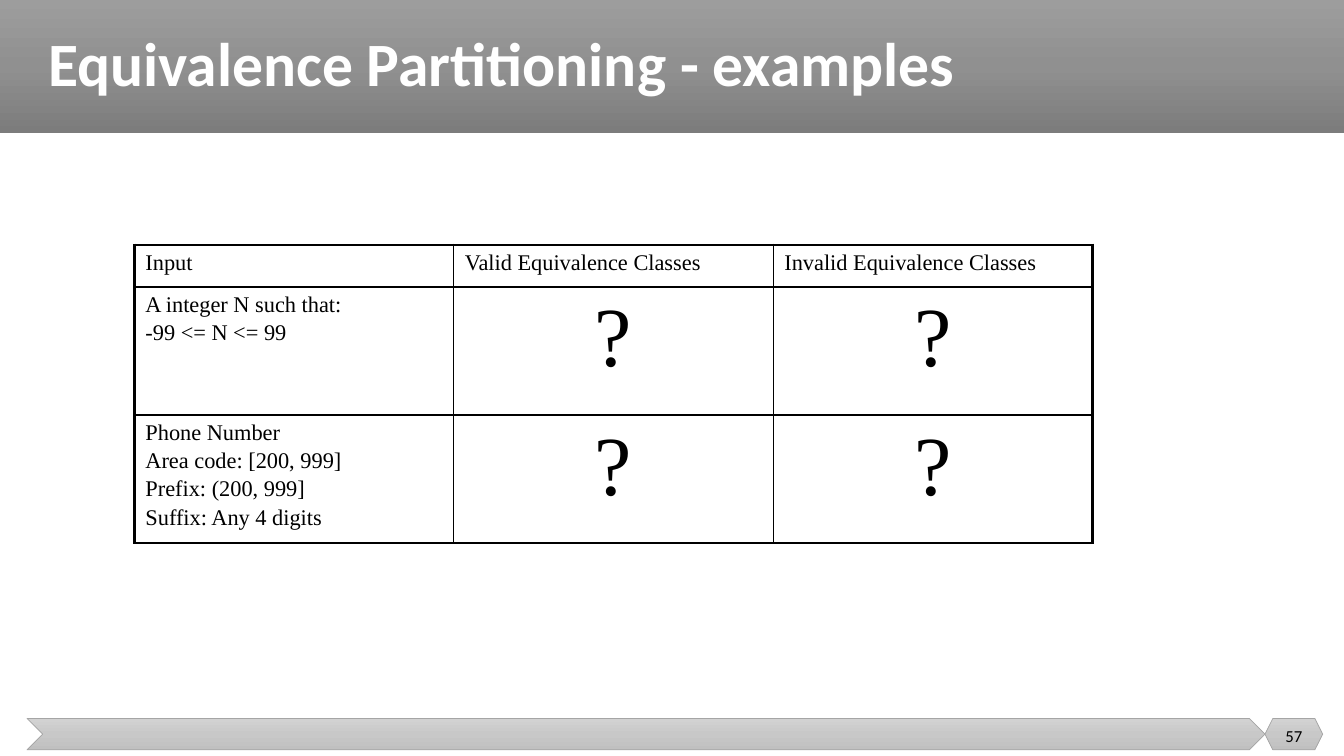
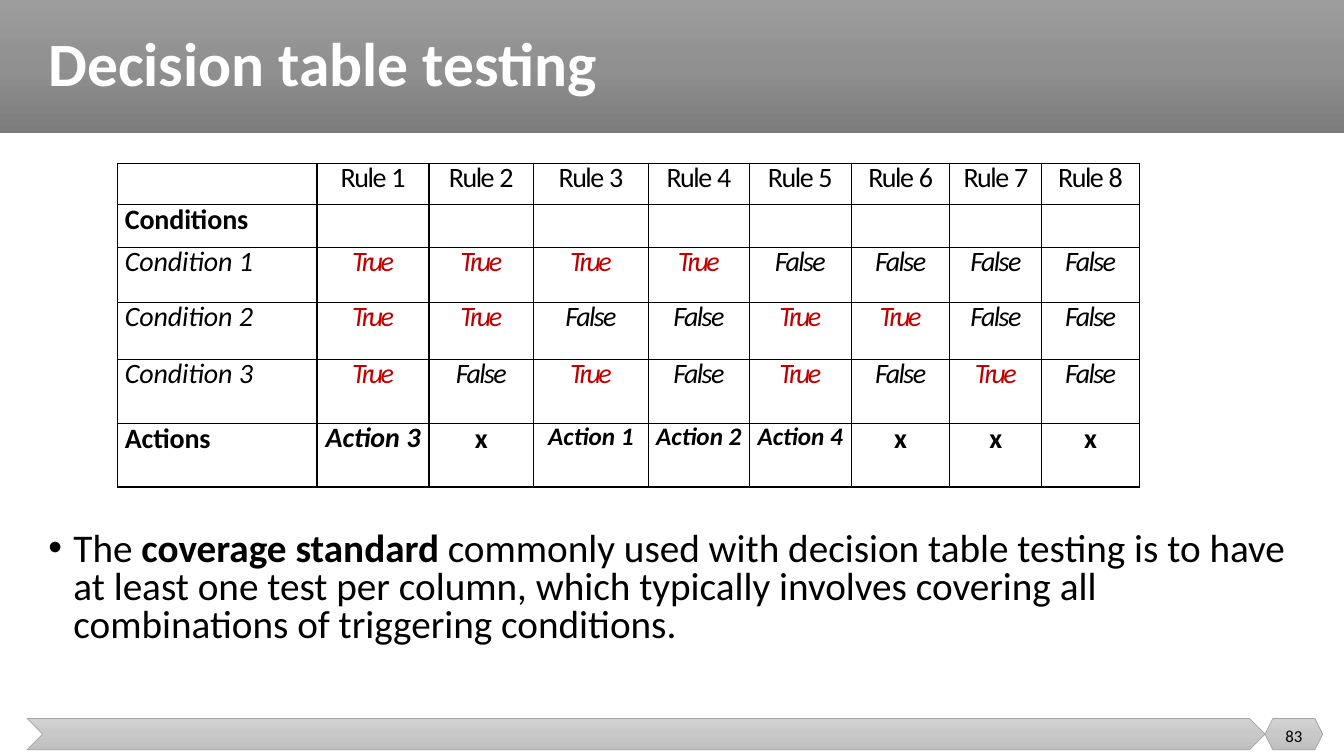
from copy import deepcopy
from pptx import Presentation
from pptx.dml.color import RGBColor as RGB
from pptx.enum.shapes import MSO_SHAPE as Shape
from pptx.enum.text import MSO_ANCHOR as Anchor, PP_ALIGN as Align
from pptx.oxml import parse_xml
from pptx.oxml.ns import nsdecls, qn
from pptx.util import Pt

INK = {"black": "000000", "white": "FFFFFF", "red": "C00000", "edge": "A5A5A5"}
BAND = ["9D9D9D", "909090", "7C7C7C"]
FOOT = ["D2D2D2", "C8C8C8", "C0C0C0"]
FONT = "Calibri"

TITLE = {"size": 44, "bold": True, "ink": "white"}
PAGE = {"size": 12}
BODY = {"size": 28}
TERM = {"size": 28, "bold": True}
SERIF = {"name": "Times New Roman", "size": 16}
MARK = {"name": "Times New Roman", "size": 60}
RULE = {"size": 20, "spc": -1.1}
DIGIT = {"size": 20, "spc": -0.3}
HEAD = {"size": 20, "bold": True, "spc": -0.1}
COND = {"size": 20, "italic": True, "spc": -0.1}
YES = {"size": 20, "italic": True, "ink": "red", "spc": -1.9}
NO = {"size": 20, "italic": True, "spc": -1.2}
WIDE = {"size": 20, "bold": True, "italic": True}
ACT = {"size": 18, "bold": True, "italic": True}
CROSS = {"size": 20, "bold": True}

PARTS = [
    ["Input", "Valid Equivalence Classes", "Invalid Equivalence Classes"],
    ["A integer N such that:\n-99 <= N <= 99", "?", "?"],
    ["Phone Number\nArea code: [200, 999]\nPrefix: (200, 999]\nSuffix: Any 4 digits",
     "?", "?"],
]
PART_COLS = [228.2] * 3
PART_ROWS = [30, 91.5, 91.5]

TRUTH = ["TTTTFFFF", "TTFFTTFF", "TFTFTFTF"]
ACTS = ["Action 3", "x", "Action 1", "Action 2", "Action 4", "x", "x", "x"]
RULE_COLS = [142.5, 80, 74.6, 82.1, 72.1, 72.9, 70.4, 65.7, 69.6]
RULE_ROWS = [29.3, 30.7, 39.3, 40.7, 45.7, 45.7]

COVER = [
    ("The ", BODY),
    ("coverage standard ", TERM),
    ("commonly used with decision table testing is to have at least one test per "
     "column, which typically involves covering all combinations of triggering "
     "conditions.", BODY),
]


def write(para, runs, **fmt):
    for key, val in fmt.items():
        setattr(para, key, val)
    for text, style in runs:
        run = para.add_run()
        run.text = text
        look = {"name": FONT, "ink": "black", **style}
        run.font.color.rgb = RGB.from_string(INK[look.pop("ink")])
        gap = look.pop("spc", 0)
        if gap:
            run._r.get_or_add_rPr().set("spc", str(round(gap * 100)))
        look["size"] = Pt(look["size"])
        for key, val in look.items():
            setattr(run.font, key, val)


def add_box(slide, spot, runs, anchor=Anchor.TOP, pad=7.2, **fmt):
    frame = slide.shapes.add_textbox(*map(Pt, spot)).text_frame
    for key, val in {"word_wrap": True, "vertical_anchor": anchor,
                     "margin_left": Pt(pad), "margin_right": Pt(pad)}.items():
        setattr(frame, key, val)
    write(frame.paragraphs[0], runs, **fmt)
    return frame.paragraphs[0]


def add_bar(slide, kind, spot, tones, edge=None):
    bar = slide.shapes.add_shape(kind, *map(Pt, spot))
    bar.shadow.inherit = False
    bar.fill.gradient()
    stops = bar._element.spPr.find(qn("a:gradFill")).find(qn("a:gsLst"))
    stops.insert(1, deepcopy(stops[0]))
    for i, (stop, tone) in enumerate(zip(bar.fill.gradient_stops, tones)):
        stop.position = i / 2
        stop.color.rgb = RGB.from_string(tone)
    bar.fill.gradient_angle = 270
    if edge:
        bar.line.color.rgb = RGB.from_string(INK[edge])
        bar.line.width = Pt(0.5)
    else:
        bar.line.fill.background()


def add_slide(deck, title, page):
    slide = deck.slides.add_slide(deck.slide_layouts[6])
    add_bar(slide, Shape.RECTANGLE, (0, 0, 960, 95), BAND)
    add_bar(slide, Shape.CHEVRON, (19.3, 513.2, 884.3, 22.4), FOOT, "edge")
    add_bar(slide, Shape.HEXAGON, (903.6, 513.2, 41.2, 22.4), FOOT, "edge")
    add_box(slide, (27.4, 0, 917.3, 95), [(title, TITLE)], Anchor.MIDDLE,
            line_spacing=0.9)
    add_box(slide, (903.6, 511.2, 41.2, 28.8), [(page, PAGE)], Anchor.MIDDLE, 0,
            alignment=Align.CENTER)
    return slide


def add_grid(slide, left, top, cols, rows, rim, pads):
    spot = (left, top, sum(cols), sum(rows))
    grid = slide.shapes.add_table(len(rows), len(cols), *map(Pt, spot)).table
    grid.first_row = grid.horz_banding = False
    for col, wide in zip(grid.columns, cols):
        col.width = Pt(wide)
    for row, tall in zip(grid.rows, rows):
        row.height = Pt(tall)
    for r in range(len(rows)):
        for c in range(len(cols)):
            cell = grid.cell(r, c)
            cell.fill.background()
            for side, pad in zip(("left", "top", "right", "bottom"), pads):
                setattr(cell, "margin_" + side, Pt(pad))
            outer = {"L": c == 0, "R": c == len(cols) - 1,
                     "T": r == 0, "B": r == len(rows) - 1}
            for i, (side, out) in enumerate(outer.items()):
                line = parse_xml(
                    f'<a:ln{side} {nsdecls("a")} w="{Pt(rim if out else 1)}">'
                    f'<a:solidFill><a:srgbClr val="{INK["black"]}"/></a:solidFill>'
                    f'</a:ln{side}>')
                cell._tc.get_or_add_tcPr().insert(i, line)
    return grid


def fill_parts(grid):
    for r, row in enumerate(PARTS):
        for c, text in enumerate(row):
            frame = grid.cell(r, c).text_frame
            mark = text == "?"
            for i, line in enumerate(text.split("\n")):
                para = frame.add_paragraph() if i else frame.paragraphs[0]
                write(para, [(line, MARK if mark else SERIF)],
                      alignment=Align.CENTER if mark else Align.LEFT,
                      space_before=Pt(2.5 if i else 0))


def act_runs(text, col):
    if text == "x":
        return [(text, CROSS)], 23.6
    return ([(text, WIDE)], 22.8) if col == 0 else ([(text, ACT)], 20.5)


def rule_cells():
    count = len(ACTS)
    yield 1, 0, [("Conditions", HEAD)], 23.4
    yield 5, 0, [("Actions", HEAD)], 23.4
    for c in range(count):
        yield 0, c + 1, [("Rule ", RULE), (str(c + 1), DIGIT)], 22.8
        yield 5, c + 1, *act_runs(ACTS[c], c)
    for r, marks in enumerate(TRUTH, 1):
        yield r + 1, 0, [("Condition ", COND), (str(r), {**COND, "spc": 0})], 22.8
        for c, mark in enumerate(marks, 1):
            run = ("True", YES) if mark == "T" else ("False", NO)
            yield r + 1, c, [run], 22.8


def fill_rules(grid):
    for r, c, runs, pitch in rule_cells():
        cell = grid.cell(r, c)
        if c == 0:
            cell.margin_left = Pt(5.2)
        write(cell.text_frame.paragraphs[0], runs, line_spacing=Pt(pitch),
              alignment=Align.CENTER if c else Align.LEFT)


def add_bullet(para):
    props = para._p.get_or_add_pPr()
    props.set("marL", str(Pt(18)))
    props.set("indent", str(-Pt(18)))
    props.append(parse_xml(f'<a:buFont {nsdecls("a")} typeface="Arial"/>'))
    props.append(parse_xml(f'<a:buChar {nsdecls("a")} char="•"/>'))


def main():
    deck = Presentation()
    deck.slide_width, deck.slide_height = Pt(960), Pt(540)

    slide = add_slide(deck, "Equivalence Partitioning - examples", "57")
    fill_parts(add_grid(slide, 96, 175, PART_COLS, PART_ROWS, 2.25,
                        (7.9, 3.6, 7.9, 3.6)))

    slide = add_slide(deck, "Decision table testing", "83")
    add_bullet(add_box(slide, (27.4, 377, 917.3, 105), COVER, line_spacing=0.8))
    fill_rules(add_grid(slide, 84, 116.6, RULE_COLS, RULE_ROWS, 1, (0, 0, 0, 0)))

    deck.save("out.pptx")


if __name__ == "__main__":
    main()
